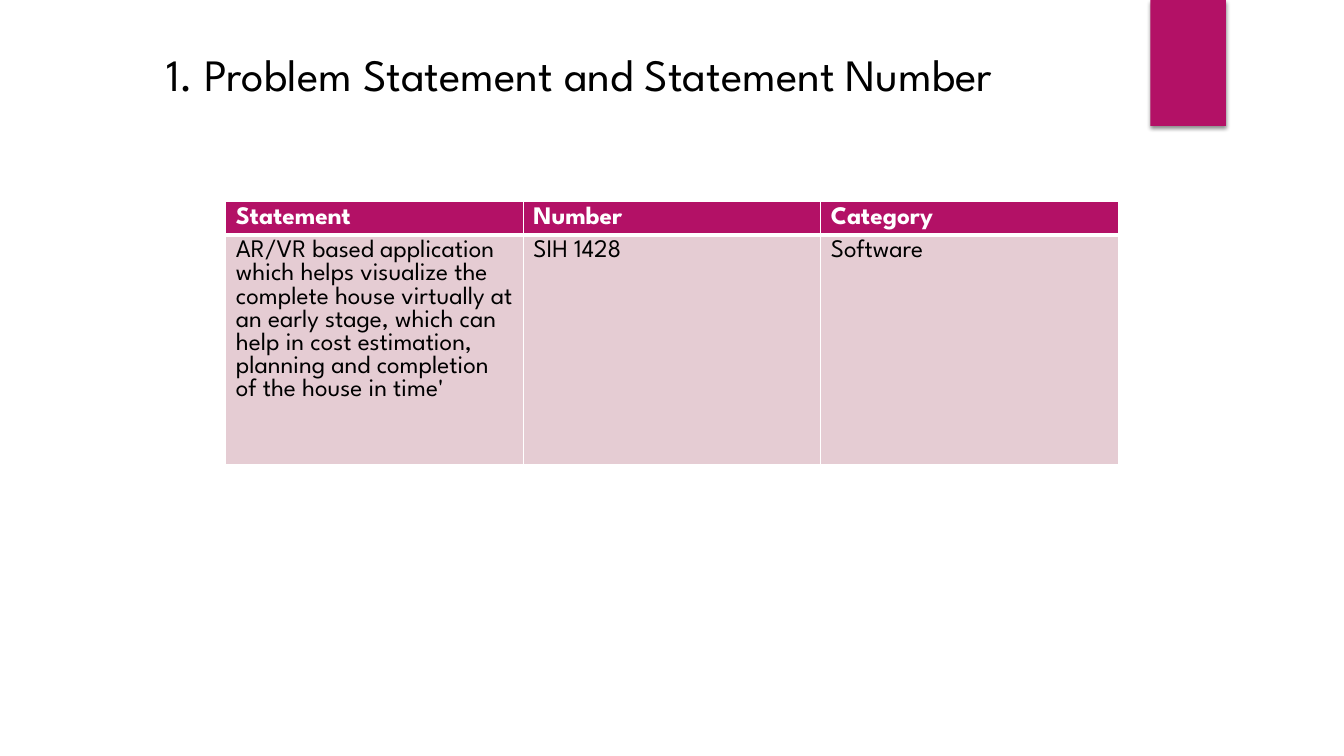
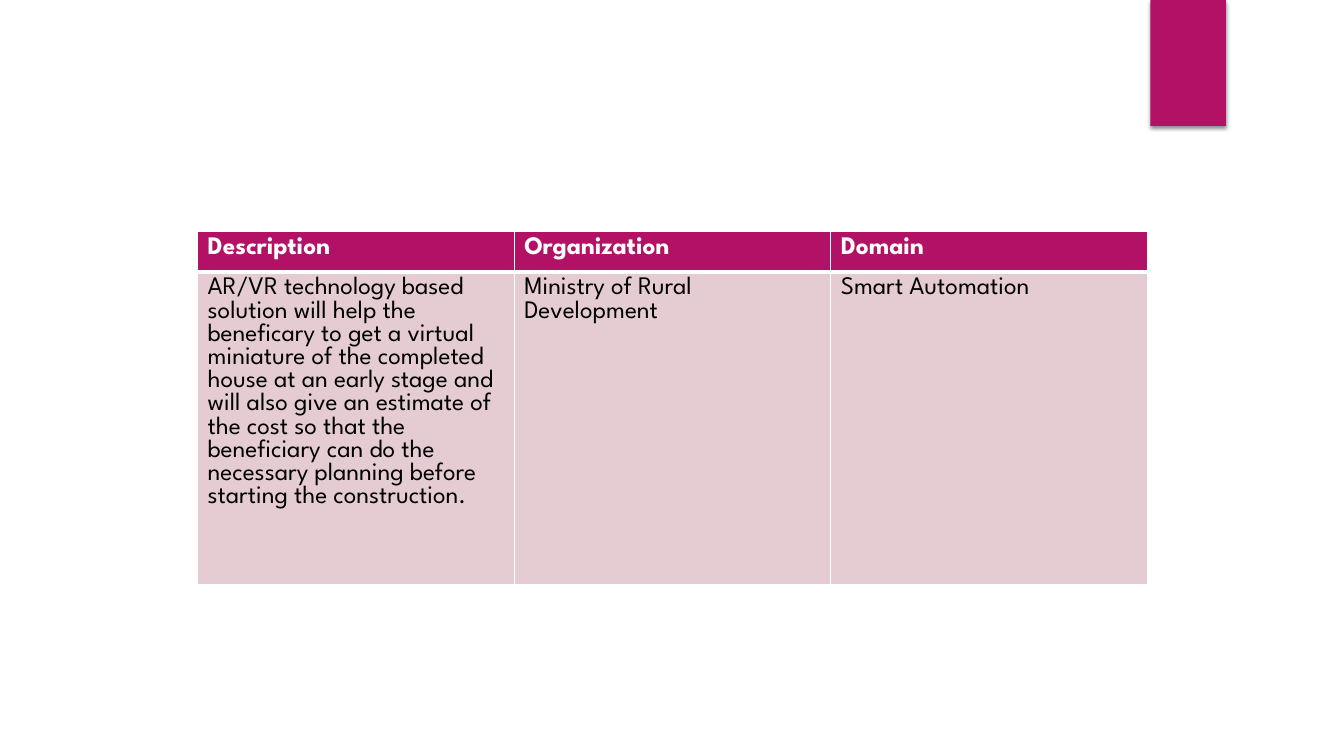
import pptx
import pptx.dml.color
import pptx.enum.shapes
import pptx.oxml
import pptx.oxml.ns
import pptx.util
from lxml import etree

PX = 9144  # 100 px to the inch
FONT = "League Spartan"
MAGENTA = pptx.dml.color.RGBColor(0xB3, 0x11, 0x66)
PINK = pptx.dml.color.RGBColor(0xE5, 0xCC, 0xD3)
WHITE = pptx.dml.color.RGBColor(0xFF, 0xFF, 0xFF)
BLACK = pptx.dml.color.RGBColor(0x00, 0x00, 0x00)
BAND_SHADOW = (
    f'<a:effectLst {pptx.oxml.ns.nsdecls("a")}>'
    '<a:outerShdw blurRad="38100" dist="25400" dir="5400000" rotWithShape="0">'
    '<a:srgbClr val="000000"><a:alpha val="45000"/></a:srgbClr>'
    '</a:outerShdw></a:effectLst>'
)

SLIDES = [
    {
        "title": "1. Problem Statement and Statement Number",
        "left": 224, "top": 200, "column_width": 295, "row_heights": (33, 228),
        "rows": [
            ("Statement", "Number", "Category"),
            ("AR/VR based application which helps visualize the complete house "
             "virtually at an early stage, which can help in cost estimation, "
             "planning and completion of the house in time'",
             "SIH 1428", "Software"),
        ],
    },
    {
        "title": None,
        "left": 196, "top": 230, "column_width": 314, "row_heights": (40, 310),
        "rows": [
            ("Description", "Organization", "Domain"),
            ("AR/VR technology based solution will help the beneficary to get a "
             "virtual miniature of the completed house at an early stage and will "
             "also give an estimate of the cost so that the beneficiary can do the "
             "necessary planning before starting the construction.",
             "Ministry of Rural Development", "Smart Automation"),
        ],
    },
]


def write_text(text_frame, text, size=18, color=BLACK, bold=False):
    text_frame.word_wrap = True
    run = text_frame.paragraphs[0].add_run()
    run.text = text
    run.font.name = FONT
    run.font.size = pptx.util.Pt(size)
    run.font.color.rgb = color
    run.font.bold = bold


def add_borders(cell, **widths):
    """Draw white cell borders; widths maps L, R, T, B to points, in that order."""
    properties = cell._tc.get_or_add_tcPr()
    for side, width in widths.items():
        line = etree.SubElement(properties, pptx.oxml.ns.qn(f"a:ln{side}"),
                                w=str(pptx.util.Pt(width)))
        fill = etree.SubElement(line, pptx.oxml.ns.qn("a:solidFill"))
        etree.SubElement(fill, pptx.oxml.ns.qn("a:srgbClr"), val=str(WHITE))


presentation = pptx.Presentation()
presentation.slide_width = 1333 * PX
presentation.slide_height = 750 * PX
blank_layout = presentation.slide_layouts[6]

for content in SLIDES:
    slide = presentation.slides.add_slide(blank_layout)

    band = slide.shapes.add_shape(pptx.enum.shapes.MSO_SHAPE.RECTANGLE,
                                  1141 * PX, 0, 75 * PX, 125 * PX)
    band.fill.solid()
    band.fill.fore_color.rgb = MAGENTA
    band.line.fill.background()
    band._element.spPr.append(pptx.oxml.parse_xml(BAND_SHADOW))

    rows = content["rows"]
    column_count = len(rows[0])
    table = slide.shapes.add_table(
        len(rows), column_count, content["left"] * PX, content["top"] * PX,
        column_count * content["column_width"] * PX,
        sum(content["row_heights"]) * PX).table
    for column in table.columns:
        column.width = content["column_width"] * PX
    for row_index, (height, texts) in enumerate(zip(content["row_heights"], rows)):
        table.rows[row_index].height = height * PX
        is_header = row_index == 0
        for column_index, text in enumerate(texts):
            cell = table.cell(row_index, column_index)
            add_borders(cell, L=1, R=1, T=1 if is_header else 3,
                        B=3 if is_header else 1)
            cell.fill.solid()
            cell.fill.fore_color.rgb = MAGENTA if is_header else PINK
            write_text(cell.text_frame, text, bold=is_header,
                       color=WHITE if is_header else BLACK)

    if content["title"]:
        title = slide.shapes.add_textbox(155 * PX, 27 * PX, 901 * PX, 118 * PX)
        title.text_frame.margin_top = 19 * PX
        write_text(title.text_frame, content["title"], size=32)

presentation.save("out.pptx")
